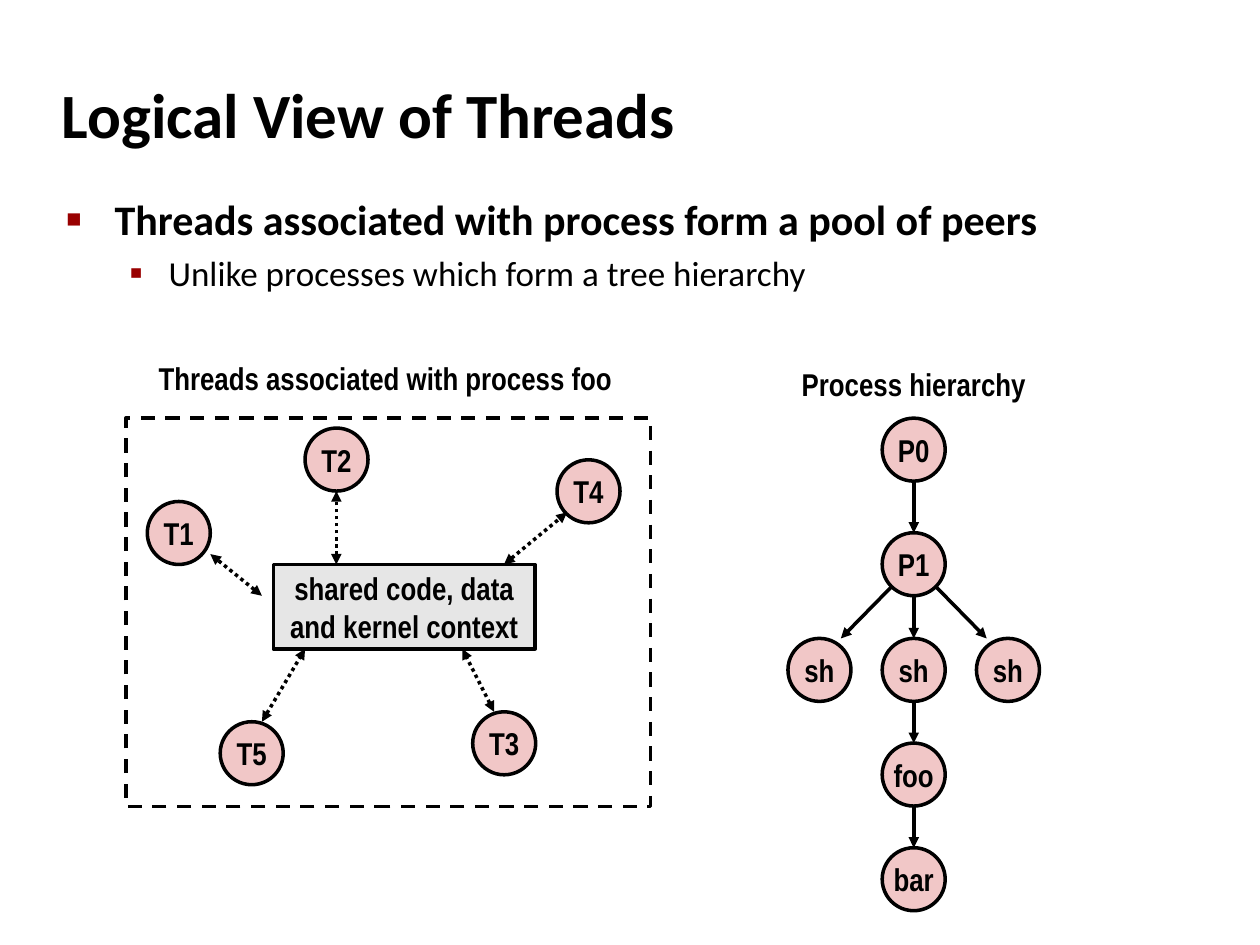
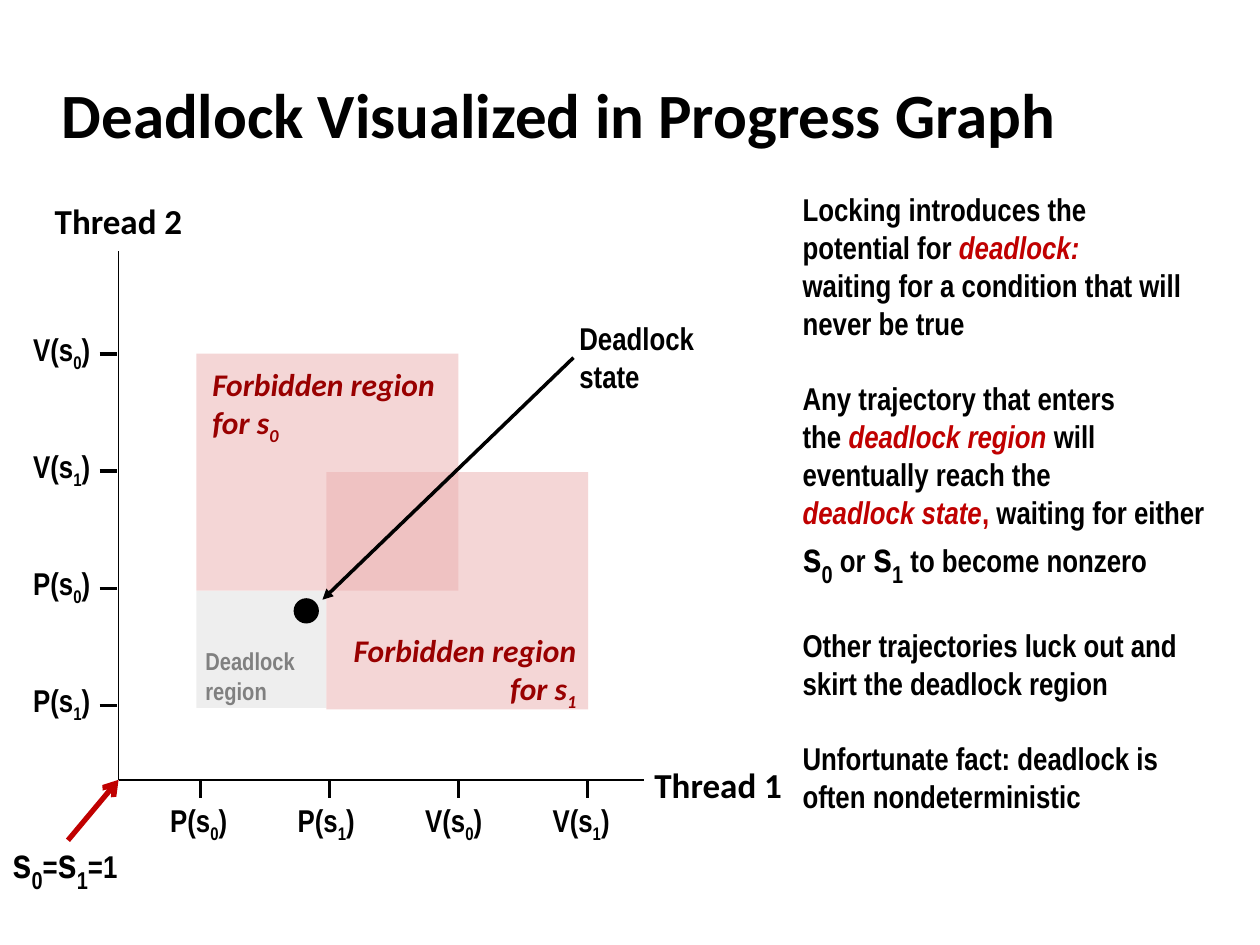
import pptx
import pptx.dml.color
import pptx.enum.dml
import pptx.enum.shapes
import pptx.enum.text
import pptx.oxml
import pptx.oxml.ns
import pptx.util

BLACK = "000000"
NODE_PINK = "F1C7C7"
PANEL_GREY = "E6E6E6"
FORBIDDEN_PINK = "EBAFAF"
REGION_GREY = "CCCCCC"
LABEL_GREY = "808080"
DARK_RED = "990000"
RED = "C00000"
NARROW = "Arial Narrow"
CALIBRI = "Calibri"

NODE_SIZE = 1.27
RECTANGLE = pptx.enum.shapes.MSO_SHAPE.RECTANGLE
OVAL = pptx.enum.shapes.MSO_SHAPE.OVAL
LEFT = pptx.enum.text.PP_ALIGN.LEFT
CENTER = pptx.enum.text.PP_ALIGN.CENTER
RIGHT = pptx.enum.text.PP_ALIGN.RIGHT
TOP = pptx.enum.text.MSO_ANCHOR.TOP
MIDDLE = pptx.enum.text.MSO_ANCHOR.MIDDLE
DASH = pptx.enum.dml.MSO_LINE.DASH
DOTTED = pptx.enum.dml.MSO_LINE.ROUND_DOT

SUB = {"baseline": "-25000"}
EMPHASIS = {"color": RED, "italic": True}
BIG = {"size": 24}
BIG_SUB = {**BIG, **SUB}


def rgb(color):
    return pptx.dml.color.RGBColor.from_string(color)


def add_xml(parent, tag, **attributes):
    element = pptx.oxml.parse_xml(f"<a:{tag} {pptx.oxml.ns.nsdecls('a')}/>")
    for name, value in attributes.items():
        element.set(name, value)
    parent.append(element)
    return element


def lengths(*values):
    return [pptx.util.Cm(value) for value in values]


def style_font(font, size=None, color=None, name=None, bold=None, italic=None):
    if size:
        font.size = pptx.util.Pt(size)
    if color:
        font.color.rgb = rgb(color)
    if name:
        font.name = name
    if bold is not None:
        font.bold = bold
    if italic is not None:
        font.italic = italic


def write_runs(paragraph, runs):
    for item in [runs] if isinstance(runs, str) else runs:
        text, style = (item, {}) if isinstance(item, str) else item
        run = paragraph.add_run()
        run.text = text
        style = dict(style)
        baseline = style.pop("baseline", None)
        style_font(run.font, **style)
        if baseline:
            run._r.get_or_add_rPr().set("baseline", baseline)


def write_text(shape, paragraphs, size=18, color=BLACK, name=NARROW, italic=None,
               align=CENTER, anchor=MIDDLE, wrap=False, inset=0.13):
    frame = shape.text_frame
    frame.word_wrap = wrap
    frame.vertical_anchor = anchor
    frame.margin_top = frame.margin_bottom = pptx.util.Cm(inset)
    for index, runs in enumerate(paragraphs):
        paragraph = frame.add_paragraph() if index else frame.paragraphs[0]
        paragraph.alignment = align
        style_font(paragraph.font, size, color, name, True, italic)
        write_runs(paragraph, runs)
    return frame


def add_text(slide, box, paragraphs, **style):
    return write_text(slide.shapes.add_textbox(*lengths(*box)), paragraphs, **style)


def add_block(slide, kind, box, fill=None, alpha=None, outline=True, dash=None):
    shape = slide.shapes.add_shape(kind, *lengths(*box))
    shape.shadow.inherit = False
    if fill:
        shape.fill.solid()
        shape.fill.fore_color.rgb = rgb(fill)
    else:
        shape.fill.background()
    if alpha:
        color = shape._element.spPr.find(".//" + pptx.oxml.ns.qn("a:srgbClr"))
        add_xml(color, "alpha", val=str(alpha * 1000))
    if outline:
        shape.line.color.rgb = rgb(BLACK)
        shape.line.width = pptx.util.Pt(2)
        shape.line.dash_style = dash
    else:
        shape.line.fill.background()
    return shape


def add_node(slide, left, top, label):
    node = add_block(slide, OVAL, (left, top, NODE_SIZE, NODE_SIZE), NODE_PINK)
    write_text(node, [label])


def add_line(slide, start, end, color=BLACK, width=2, dash=None, head=None, tail=None):
    straight = pptx.enum.shapes.MSO_CONNECTOR.STRAIGHT
    connector = slide.shapes.add_connector(straight, *lengths(*start, *end))
    connector.line.color.rgb = rgb(color)
    connector.line.width = pptx.util.Pt(width)
    connector.line.dash_style = dash
    line = connector.line._get_or_add_ln()
    for tag, kind in (("headEnd", head), ("tailEnd", tail)):
        if kind:
            add_xml(line, tag, type=kind)
    add_xml(connector._element.spPr, "effectLst")


def add_titled_slide(presentation, title):
    slide = presentation.slides.add_slide(presentation.slide_layouts[5])
    placeholder = slide.shapes.title
    placeholder.left, placeholder.top, placeholder.width, placeholder.height = lengths(
        0.99, 1.22, 21.08, 2.11)
    write_text(placeholder, [title], size=36, name=CALIBRI, align=LEFT, wrap=True)
    return slide


def add_bullets(slide, box):
    frame = slide.shapes.add_textbox(*lengths(*box)).text_frame
    frame.word_wrap = True
    bullets = [
        ("Threads associated with process form a pool of peers", "■", 60, 0.97, 0.97, 24, True),
        ("Unlike processes which form a tree hierarchy", "▪", 110, 2.06, 0.79, 20, False),
    ]
    for level, (text, mark, percent, margin, hanging, size, bold) in enumerate(bullets):
        paragraph = frame.add_paragraph() if level else frame.paragraphs[0]
        paragraph.level = level
        if level:
            paragraph.space_before = pptx.util.Pt(4)
        properties = paragraph._p.get_or_add_pPr()
        properties.set("marL", str(pptx.util.Cm(margin)))
        properties.set("indent", str(-pptx.util.Cm(hanging)))
        add_xml(add_xml(properties, "buClr"), "srgbClr", val=DARK_RED)
        add_xml(properties, "buSzPct", val=str(percent * 1000))
        add_xml(properties, "buFont", typeface="Arial")
        add_xml(properties, "buChar", char=mark)
        style_font(paragraph.font, size, BLACK, CALIBRI, bold)
        write_runs(paragraph, text)


def add_thread_pool(slide, box):
    left, top, width, height = box
    add_block(slide, RECTANGLE, box, dash=DASH)
    add_text(slide, (left - 0.61, top - 1.32, 11.68, 1.02),
             ["Threads associated with process foo"])
    threads = [("T1", 0.43, 1.68), ("T2", 3.61, 0.2), ("T3", 6.99, 5.92),
               ("T4", 8.69, 0.84), ("T5", 1.9, 6.12)]
    for label, x, y in threads:
        add_node(slide, left + x, top + y, label)
    shared = add_block(slide, RECTANGLE, (left + 2.97, top + 2.95, 5.28, 1.7), PANEL_GREY)
    write_text(shared, ["shared code, data", "and kernel context"])
    links = [(2.74, 6.12, 3.61, 4.65), (7.42, 5.92, 6.78, 4.65), (2.74, 3.58, 1.7, 2.74),
             (4.24, 2.95, 4.24, 1.47), (7.62, 2.95, 8.89, 1.9)]
    for x1, y1, x2, y2 in links:
        add_line(slide, (left + x1, top + y1), (left + x2, top + y2),
                 dash=DOTTED, head="triangle", tail="triangle")


def add_process_tree(slide, box):
    left, top, width, height = box
    middle = left + width / 2
    add_text(slide, (middle - 3.01, top - 1.19, 6.02, 1.02), ["Process hierarchy"])
    trunk = list(zip(["P0", "P1", "sh", "foo", "bar"], [0, 2.31, 4.44, 6.55, 8.66]))
    for label, y in trunk:
        add_node(slide, middle - NODE_SIZE / 2, top + y, label)
    for (_, upper), (_, lower) in zip(trunk, trunk[1:]):
        add_line(slide, (middle, top + upper + NODE_SIZE), (middle, top + lower),
                 tail="triangle")
    for side in (-1, 1):
        add_node(slide, middle + side * 1.9 - NODE_SIZE / 2, top + 4.44, "sh")
        add_line(slide, (middle + side * 0.43, top + 3.38),
                 (middle + side * 1.47, top + 4.44), tail="triangle")


def semaphore_label(operation, number):
    return [f"{operation}(s", (number, SUB), ")"]


def add_axes(slide, box):
    left, top, width, height = box
    bottom = top + height
    add_line(slide, (left, bottom), (left + width, bottom), width=1)
    add_line(slide, (left, bottom), (left, top), width=1)
    add_text(slide, (left + width - 0.05, bottom - 0.46, 3.1, 1.12), ["Thread 1"],
             size=20, name=CALIBRI)
    add_text(slide, (left - 1.55, top - 1.17, 3.1, 1.12), ["Thread 2"],
             size=20, name=CALIBRI)
    for index, step in enumerate(["P0", "P1", "V0", "V1"]):
        x = left + 1.65 + 2.6 * index
        add_line(slide, (x, bottom), (x, bottom + 0.36))
        add_text(slide, (left + 0.79 + 2.57 * index, bottom + 0.36, 1.73, 1.02),
                 [semaphore_label(*step)], align=LEFT)
    for index, step in enumerate(["P1", "P0", "V1", "V0"]):
        y = bottom - 1.5 - 2.36 * index
        add_line(slide, (left - 0.38, y), (left - 0.03, y))
        add_text(slide, (left - 1.97, y - 0.56, 1.73, 1.02),
                 [semaphore_label(*step)], align=LEFT)
    add_text(slide, (left - 2.39, bottom + 1.22, 2.74, 1.02),
             [[("s", BIG), ("0", BIG_SUB), "=", ("s", BIG), ("1", BIG_SUB), "=1"]],
             align=LEFT, inset=0)
    add_line(slide, (left - 1.02, bottom + 1.22), (left, bottom), color=RED, width=3,
             tail="arrow")


def add_regions(slide, box):
    left, top, width, height = box
    add_block(slide, RECTANGLE, (left + 1.57, top + 6.86, 2.62, 2.36), REGION_GREY, 32, False)
    forbidden = [("0", 1.57, 2.08, 0.1, LEFT), ("1", 4.19, 4.47, 3.07, RIGHT)]
    for number, x, y, drop, align in forbidden:
        add_block(slide, RECTANGLE, (left + x, top + y, 5.28, 4.78), FORBIDDEN_PINK, 50, False)
    for number, x, y, drop, align in forbidden:
        add_text(slide, (left + x + 0.07, top + y + drop, 5.22, 1.8),
                 ["Forbidden region", ["for s", (number, SUB)]],
                 color=DARK_RED, name=CALIBRI, italic=True, align=align, anchor=TOP)
    add_block(slide, OVAL, (left + 3.53, top + 7.01, 0.51, 0.51), BLACK, outline=False)
    add_text(slide, (left + 9.04, top + 1.37, 2.97, 1.55), ["Deadlock", "state"],
             align=LEFT, inset=0)
    add_line(slide, (left + 9.17, top + 2.16), (left + 4.11, top + 7.04), tail="triangle")
    add_text(slide, (left + 1.5, top + 7.98, 2.44, 1.19), ["Deadlock", "region"],
             size=14, color=LABEL_GREY, align=LEFT, inset=0)


def add_deadlock_notes(slide, box):
    groups = [
        ["Locking introduces the",
         ["potential for ", ("deadlock:", EMPHASIS)],
         "waiting for a condition that will never be true"],
        ["Any trajectory that enters",
         ["the ", ("deadlock region ", EMPHASIS), "will"],
         "eventually reach the",
         [("deadlock state", EMPHASIS), (", ", {"color": RED}), "waiting for either ",
          ("s", BIG), ("0", BIG_SUB), " or ", ("s", BIG), ("1", BIG_SUB),
          " to become nonzero"]],
        ["Other trajectories luck out and skirt the deadlock region"],
        ["Unfortunate fact: deadlock is often nondeterministic"],
    ]
    frame = add_text(slide, box, sum(groups, []), align=LEFT, anchor=TOP, wrap=True, inset=0)
    start = 0
    for group in groups[:-1]:
        start += len(group)
        frame.paragraphs[start].space_before = pptx.util.Pt(21.6)


def build_threads_slide(presentation):
    slide = add_titled_slide(presentation, "Logical View of Threads")
    add_bullets(slide, (1.09, 3.78, 21.95, 13.82))
    add_thread_pool(slide, (2.54, 8.43, 10.58, 7.83))
    add_process_tree(slide, (15.88, 8.43, 5.08, 9.93))


def build_deadlock_slide(presentation):
    slide = add_titled_slide(presentation, "Deadlock Visualized in Progress Graph")
    graph = (2.39, 5.05, 10.59, 10.67)
    add_axes(slide, graph)
    add_regions(slide, graph)
    add_deadlock_notes(slide, (15.93, 3.84, 8.64, 13.74))


def main():
    presentation = pptx.Presentation()
    presentation.slide_width, presentation.slide_height = lengths(25.4, 19.05)
    build_threads_slide(presentation)
    build_deadlock_slide(presentation)
    presentation.save("out.pptx")


if __name__ == "__main__":
    main()
